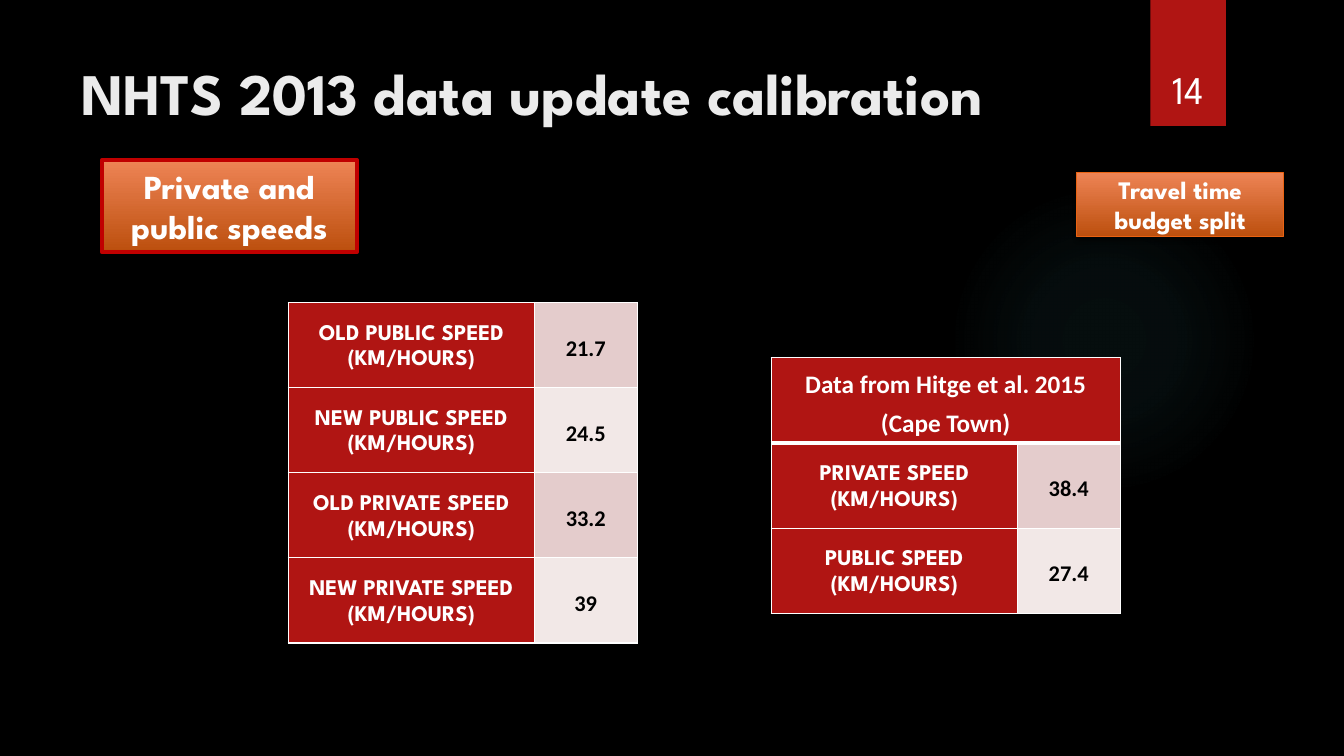
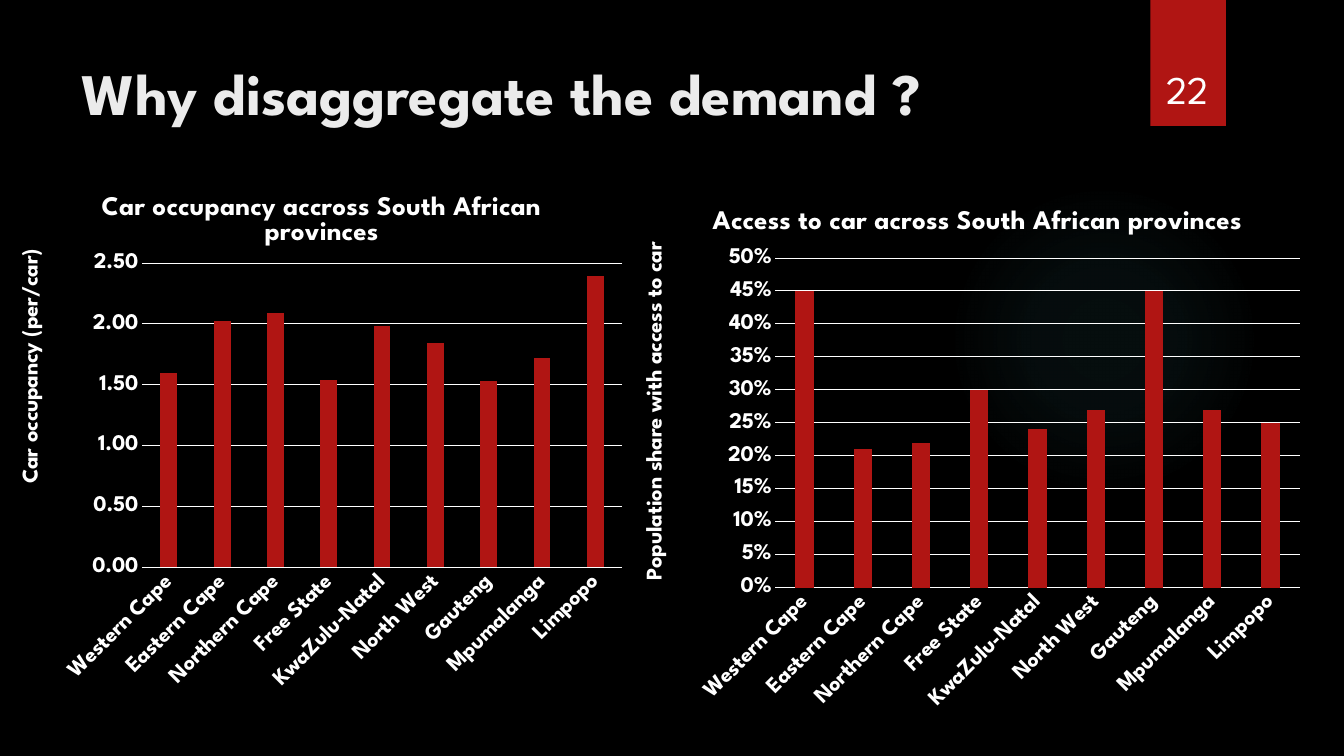
from lxml import etree
from pptx import Presentation
from pptx.chart.data import CategoryChartData
from pptx.dml.color import RGBColor
from pptx.enum.chart import XL_CHART_TYPE as ChartType, XL_TICK_MARK as Tick
from pptx.enum.shapes import MSO_SHAPE as Shape
from pptx.enum.text import MSO_ANCHOR as Anchor, PP_ALIGN as Align
from pptx.oxml import parse_xml
from pptx.oxml.ns import nsdecls, qn
from pptx.util import Inches, Pt

BLACK = RGBColor(0x00, 0x00, 0x00)
WHITE = RGBColor(0xFF, 0xFF, 0xFF)
TITLE_GREY = RGBColor(0xEB, 0xEB, 0xEB)
RED = RGBColor(0xB0, 0x15, 0x13)
BORDER_RED = RGBColor(0xC0, 0x00, 0x00)
ORANGE = RGBColor(0xEA, 0x63, 0x12)
ORANGE_TOP = RGBColor(0xEE, 0x84, 0x55)
ORANGE_BOTTOM = RGBColor(0xBC, 0x4F, 0x0E)
ROW_TINTS = (RGBColor(0xE4, 0xCC, 0xCC), RGBColor(0xF2, 0xE8, 0xE7))
GLOW = RGBColor(0x50, 0xB9, 0xC1)

HEAD_FONT = "League Spartan"
BODY_FONT = "Calibri"
PROVINCES = ("Western Cape", "Eastern Cape", "Northern Cape", "Free State",
             "KwaZulu-Natal", "North West", "Gauteng", "Mpumalanga", "Limpopo")


def style_font(font, size, color=WHITE, name=HEAD_FONT, bold=True):
    font.size, font.name, font.bold = Pt(size), name, bold
    font.color.rgb = color


def write(frame, text, size, color=WHITE, name=HEAD_FONT, bold=True,
          align=Align.CENTER, anchor=Anchor.MIDDLE, spacing=None):
    frame.word_wrap = True
    frame.vertical_anchor = anchor
    for index, line in enumerate(text.split("\n")):
        paragraph = frame.add_paragraph() if index else frame.paragraphs[0]
        paragraph.alignment = align
        paragraph.line_spacing = spacing
        run = paragraph.add_run()
        run.text = line
        style_font(run.font, size, color, name, bold)


def add_box(slide, preset, box):
    shape = slide.shapes.add_shape(preset, *map(Inches, box))
    shape.shadow.inherit = False
    shape.line.fill.background()
    return shape


def cast_shadow(shape):
    effects = shape._element.spPr.find(qn("a:effectLst"))
    effects.append(parse_xml(
        f'<a:outerShdw {nsdecls("a")} blurRad="{Pt(3)}" dist="{Pt(2)}" dir="5400000">'
        '<a:srgbClr val="000000"><a:alpha val="45000"/></a:srgbClr></a:outerShdw>'))


def add_glow(slide, box):
    glow = add_box(slide, Shape.OVAL, box)
    glow.fill.background()
    stops = "".join(
        f'<a:gs pos="{position * 1000}"><a:srgbClr val="{GLOW}">'
        f'<a:alpha val="{alpha * 1000}"/></a:srgbClr></a:gs>'
        for position, alpha in ((0, 7), (36, 6), (69, 0), (100, 0)))
    properties = glow._element.spPr
    properties.replace(properties.find(qn("a:noFill")), parse_xml(
        f'<a:gradFill {nsdecls("a")}><a:gsLst>{stops}</a:gsLst><a:path path="circle">'
        '<a:fillToRect l="50000" t="50000" r="50000" b="50000"/></a:path></a:gradFill>'))


def add_page(deck, title, number):
    slide = deck.slides.add_slide(deck.slide_layouts[6])
    slide.background.fill.solid()
    slide.background.fill.fore_color.rgb = BLACK
    add_glow(slide, (9.41, 1.83, 3.08, 3.08))
    tab = add_box(slide, Shape.RECTANGLE, (11.41, 0, 0.75, 1.25))
    tab.fill.solid()
    tab.fill.fore_color.rgb = RED
    cast_shadow(tab)
    heading = slide.shapes.add_textbox(*map(Inches, (0.71, 0.51, 10.29, 1.53)))
    write(heading.text_frame, title, 42, TITLE_GREY, align=Align.LEFT, anchor=Anchor.TOP)
    page_number = slide.shapes.add_textbox(*map(Inches, (11.32, 0.32, 0.92, 0.84)))
    write(page_number.text_frame, str(number), 28, bold=False, anchor=Anchor.BOTTOM)
    return slide


def add_step(slide, box, text, size, border, border_width):
    step = add_box(slide, Shape.RECTANGLE, box)
    step.fill.gradient()
    step.fill.gradient_angle = 270
    for stop, color, position in zip(step.fill.gradient_stops,
                                     (ORANGE_TOP, ORANGE_BOTTOM), (0, 1)):
        stop.color.rgb = color
        stop.position = position
    step.line.color.rgb = border
    step.line.width = Pt(border_width)
    cast_shadow(step)
    write(step.text_frame, text, size)


def fill_cell(cell, text, fill, top=1, bottom=1, **text_style):
    cell.margin_left = cell.margin_right = Inches(0.07)
    cell.margin_top = cell.margin_bottom = 0
    cell.vertical_anchor = Anchor.MIDDLE
    cell.fill.solid()
    cell.fill.fore_color.rgb = fill
    write(cell.text_frame, text, spacing=1.25, **text_style)
    properties = cell._tc.get_or_add_tcPr()
    for index, (side, width) in enumerate(
            (("L", 1), ("R", 1), ("T", top), ("B", bottom))):
        properties.insert(index, parse_xml(
            f'<a:ln{side} {nsdecls("a")} w="{Pt(width)}"><a:solidFill>'
            f'<a:srgbClr val="{WHITE}"/></a:solidFill></a:ln{side}>'))


def add_speed_table(slide, left, top, speeds, header=None):
    offset = 1 if header else 0
    row_count = len(speeds) + offset
    widths, row_height = (2.44, 1.02), 0.845
    table = slide.shapes.add_table(
        row_count, 2, Inches(left), Inches(top),
        Inches(sum(widths)), Inches(row_height * row_count)).table
    table.first_row = table.horz_banding = False
    for column, width in zip(table.columns, widths):
        column.width = Inches(width)
    if header:
        table.cell(0, 0).merge(table.cell(0, 1))
        fill_cell(table.cell(0, 0), header, RED, bottom=3, size=18, name=BODY_FONT)
    for index, (label, speed) in enumerate(speeds):
        row = index + offset
        rule = 3 if header and index == 0 else 1
        fill_cell(table.cell(row, 0), label, RED, top=rule, size=16)
        fill_cell(table.cell(row, 1), speed, ROW_TINTS[index % 2], top=rule,
                  size=16, color=BLACK, name=BODY_FONT)


def make_layout(box, chart_box, inner=False):
    left, top, width, height = chart_box
    fractions = {"x": (box[0] - left) / width, "y": (box[1] - top) / height}
    layout = etree.Element(qn("c:layout"))
    manual = etree.SubElement(layout, qn("c:manualLayout"))
    if inner:
        fractions.update(w=box[2] / width, h=box[3] / height)
        etree.SubElement(manual, qn("c:layoutTarget")).set("val", "inner")
    for key in ("x", "y"):
        etree.SubElement(manual, qn(f"c:{key}Mode")).set("val", "edge")
    for key, fraction in fractions.items():
        etree.SubElement(manual, qn(f"c:{key}")).set("val", f"{fraction:.4f}")
    return layout


def place_title(title, text, size, position, chart_box):
    run = title.text_frame.paragraphs[0].add_run()
    run.text = text
    style_font(run.font, size)
    element = title._element
    for layout in element.findall(qn("c:layout")):
        element.remove(layout)
    element.find(qn("c:tx")).addnext(make_layout(position, chart_box))


def white_line(line):
    line.color.rgb = WHITE
    line.width = Pt(0.75)


def add_province_chart(slide, box, plot_box, title, title_at, axis_text, axis_at,
                       series_name, values, number_format, maximum, step):
    data = CategoryChartData()
    data.categories = PROVINCES
    data.add_series(series_name, values)
    chart = slide.shapes.add_chart(ChartType.COLUMN_CLUSTERED,
                                   *map(Inches, box), data).chart
    style_font(chart.font, 16)
    chart.has_legend = False
    chart.has_title = True
    place_title(chart.chart_title, title, 19.2, title_at, box)

    plot = chart.plots[0]
    plot.gap_width, plot.overlap, plot.vary_by_categories = 219, -27, False
    bars = plot.series[0].format.fill
    bars.solid()
    bars.fore_color.rgb = RED
    plot_area = chart._chartSpace.chart.plotArea
    for layout in plot_area.findall(qn("c:layout")):
        plot_area.remove(layout)
    plot_area.insert(0, make_layout(plot_box, box, inner=True))

    provinces, scale = chart.category_axis, chart.value_axis
    for axis in (provinces, scale):
        axis.major_tick_mark = axis.minor_tick_mark = Tick.NONE
        style_font(axis.tick_labels.font, 16)
    white_line(provinces.format.line)
    provinces._element.find(qn("c:txPr")).find(qn("a:bodyPr")).set("rot", "-2700000")

    scale.minimum_scale, scale.maximum_scale, scale.major_unit = 0, maximum, step
    scale.tick_labels.number_format = number_format
    scale.tick_labels.number_format_is_linked = False
    scale.format.line.fill.background()
    white_line(scale.major_gridlines.format.line)
    scale.has_title = True
    place_title(scale.axis_title, axis_text, 16, axis_at, box)
    scale.axis_title.text_frame._txBody.bodyPr.set("rot", "-5400000")


def build_calibration(deck):
    slide = add_page(deck, "NHTS 2013 data update calibration", 14)
    add_step(slide, (1.01, 1.59, 2.53, 0.91), "Private and public speeds",
             24, BORDER_RED, 3)
    add_speed_table(slide, 2.86, 3, (
        ("OLD PUBLIC SPEED (KM/HOURS)", "21.7"),
        ("NEW PUBLIC SPEED (KM/HOURS)", "24.5"),
        ("OLD PRIVATE SPEED (KM/HOURS)", "33.2"),
        ("NEW PRIVATE SPEED\n(KM/HOURS)", "39")))
    add_step(slide, (10.68, 1.71, 2.05, 0.64), "Travel time budget split",
             18, ORANGE, 0.75)
    add_speed_table(slide, 7.65, 3.55, (
        ("PRIVATE SPEED (KM/HOURS)", "38.4"),
        ("PUBLIC SPEED (KM/HOURS)", "27.4")),
        header="Data from Hitge et al. 2015 (Cape Town)")


def build_demand(deck):
    slide = add_page(deck, "Why disaggregate the demand ?", 22)
    add_province_chart(
        slide, (0, 1.58, 6.29, 5.37), (1.41, 2.61, 4.76, 3.02),
        "Car occupancy accross South African provinces", (0.96, 1.87),
        "Car occupancy (per/car)", (0.15, 2.43), "Series 1",
        (1.6, 2.02, 2.09, 1.54, 1.98, 1.84, 1.53, 1.72, 2.39), "0.00", 2.5, 0.5)
    access_title = "Access to car across South African provinces"
    add_province_chart(
        slide, (6.29, 1.79, 6.73, 5.37), (7.69, 2.56, 5.2, 3.27),
        access_title, (7.02, 2.01),
        "Population share with access to car", (6.34, 2.36), access_title,
        (0.45, 0.21, 0.22, 0.3, 0.24, 0.27, 0.45, 0.27, 0.25), "0%", 0.5, 0.05)


deck = Presentation()
deck.slide_width, deck.slide_height = Inches(13.33), Inches(7.5)
build_calibration(deck)
build_demand(deck)
deck.save("out.pptx")
